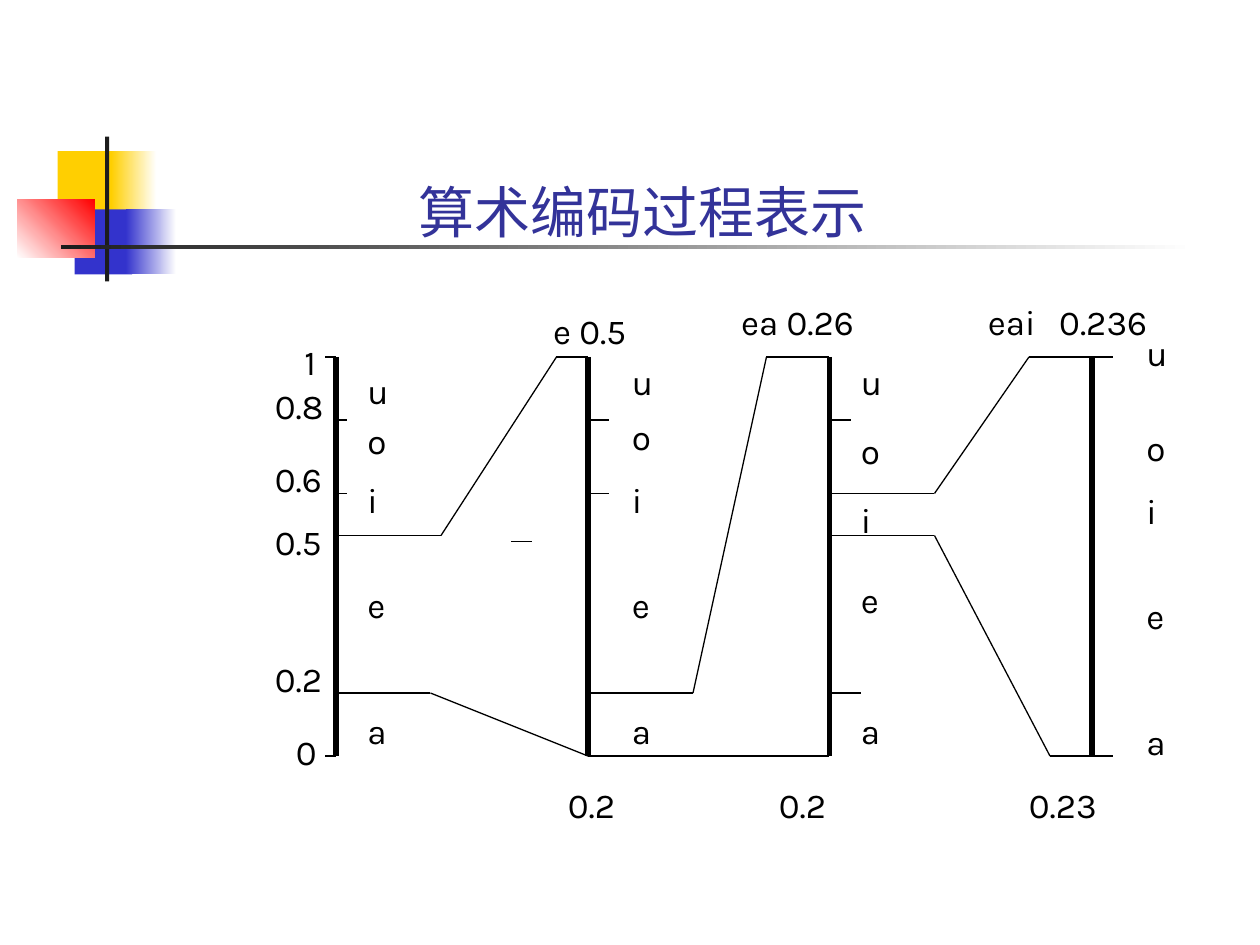
from itertools import pairwise
from typing import NamedTuple

from lxml.etree import SubElement
from pptx import Presentation
from pptx.dml.color import RGBColor
from pptx.enum.shapes import MSO_CONNECTOR, MSO_SHAPE
from pptx.enum.text import MSO_ANCHOR, MSO_AUTO_SIZE
from pptx.oxml.ns import qn
from pptx.util import Inches, Pt

COLS, ROWS = 120, 90
FONT = "Karla"
TOP, BASE = 34, 72


class Block(NamedTuple):
    x: float
    y: float
    w: float
    h: float
    start: str
    end: str = ""
    angle: float = 0


class Label(NamedTuple):
    text: str
    x: float
    y: float
    w: float


class Axis(NamedTuple):
    x: float
    left: float
    rows: tuple[float, ...]


BLOCKS = [
    Block(5.5, 14.4, 5.8, 6.2, "FFCF01"),
    Block(10.6, 14.4, 4.3, 6.2, "FFCF01", "FFFFFF"),
    Block(7.1, 19.95, 5.5, 6.2, "3333CC"),
    Block(12, 19.95, 4.8, 6.2, "3333CC", "FFFFFF"),
    Block(1.65, 19, 7.4, 5.55, "FFFFFF", "FF0000", 45),
    Block(10, 13, 0.4, 13.8, "1C1C1C"),
    Block(5.8, 23.35, 108, 0.4, "1C1C1C", "FFFFFF"),
]
LETTERS = {"u": 4.4, "o": 4.4, "i": 3.2, "e": 4.2, "a": 4.2}
AXES = [
    Axis(32, 33.8, (34.6, 39.4, 45, 55, 67)),
    Axis(56, 59, (33.7, 39, 45, 55, 67)),
    Axis(79, 80.8, (33.7, 40.3, 46.9, 54.5, 67)),
    Axis(104, 108, (31, 40, 46, 56, 68)),
]
PATHS = [
    [(32, 66), (41, 66), (56, BASE), (79, BASE)],
    [(32, 51), (42, 51), (53, TOP), (56, TOP)],
    [(56, 66), (66, 66), (73, TOP), (79, TOP)],
    [(79, 47), (89, 47), (98, TOP), (106, TOP)],
    [(79, 51), (89, 51), (100, BASE), (106, BASE)],
    [(31, TOP), (32, TOP)],
    [(31, BASE), (32, BASE)],
    [(79, 66), (82, 66)],
    [(48.7, 51.6), (50.7, 51.6)],
]
TICKS = [(32, 1), (56, 2), (79, 2)]
LABELS = [
    Label("1", 27.8, 31.8, 4.2),
    Label("0.8", 25, 36, 7),
    Label("0.6", 25, 43, 7),
    Label("0.5", 25, 49, 7),
    Label("0.2", 25, 62, 7),
    Label("0", 27, 69, 4.2),
    Label("e 0.5", 51.5, 28.9, 9.8),
    Label("ea 0.26", 69.4, 28, 13.7),
    Label("eai", 92.9, 28, 7),
    Label("0.236", 99.7, 28, 10.9),
    Label("0.2", 52.9, 74, 7),
    Label("0.2", 73, 74, 7),
    Label("0.23", 96.8, 74, 9),
]

deck = Presentation()
deck.slide_width, deck.slide_height = Inches(10), Inches(7.5)
slide = deck.slides.add_slide(deck.slide_layouts[6])
shapes = slide.shapes


def across(cols: float) -> int:
    return round(deck.slide_width * cols / COLS)


def down(rows: float) -> int:
    return round(deck.slide_height * rows / ROWS)


def paint(color, code: str) -> None:
    color.rgb = RGBColor.from_string(code)


def draw_block(b: Block) -> None:
    box = shapes.add_shape(MSO_SHAPE.RECTANGLE, across(b.x), down(b.y),
                           across(b.w), down(b.h))
    box.shadow.inherit = False
    box.line.fill.background()
    if b.end:
        box.fill.gradient()
        box.fill.gradient_angle = b.angle
        for stop, code in zip(box.fill.gradient_stops, (b.start, b.end)):
            paint(stop.color, code)
    else:
        box.fill.solid()
        paint(box.fill.fore_color, b.start)


def draw_path(points: list[tuple[float, float]], width: float = 0.75) -> None:
    for (x1, y1), (x2, y2) in pairwise(points):
        line = shapes.add_connector(MSO_CONNECTOR.STRAIGHT, across(x1), down(y1),
                                    across(x2), down(y2))
        line.line.width = Pt(width)
        paint(line.line.color, "000000")
        SubElement(line._element.spPr, qn("a:effectLst"))


def draw_text(label: Label, size: float = 20, code: str = "000000",
              height: float = 5.3):
    box = shapes.add_textbox(across(label.x), down(label.y),
                             across(label.w), down(height))
    frame = box.text_frame
    frame.word_wrap = False
    frame.auto_size = MSO_AUTO_SIZE.SHAPE_TO_FIT_TEXT
    para = frame.paragraphs[0]
    para.text = label.text
    para.font.name, para.font.size = FONT, Pt(size)
    paint(para.font.color, code)
    return frame


for block in BLOCKS:
    draw_block(block)

title = draw_text(Label("算术编码过程表示", 38.7, 15.7, 58.1), 32, "333399", 8.2)
title.auto_size = MSO_AUTO_SIZE.NONE
title.word_wrap = True
title.vertical_anchor = MSO_ANCHOR.BOTTOM

for axis in AXES:
    draw_path([(axis.x, TOP), (axis.x, BASE)], 3)
    for (letter, wide), row in zip(LETTERS.items(), axis.rows):
        draw_text(Label(letter, axis.left, row, wide))

for path in PATHS:
    draw_path(path)
for x, size in TICKS:
    for y in (40, 47):
        draw_path([(x, y), (x + size, y)])
for label in LABELS:
    draw_text(label)

deck.save("out.pptx")
